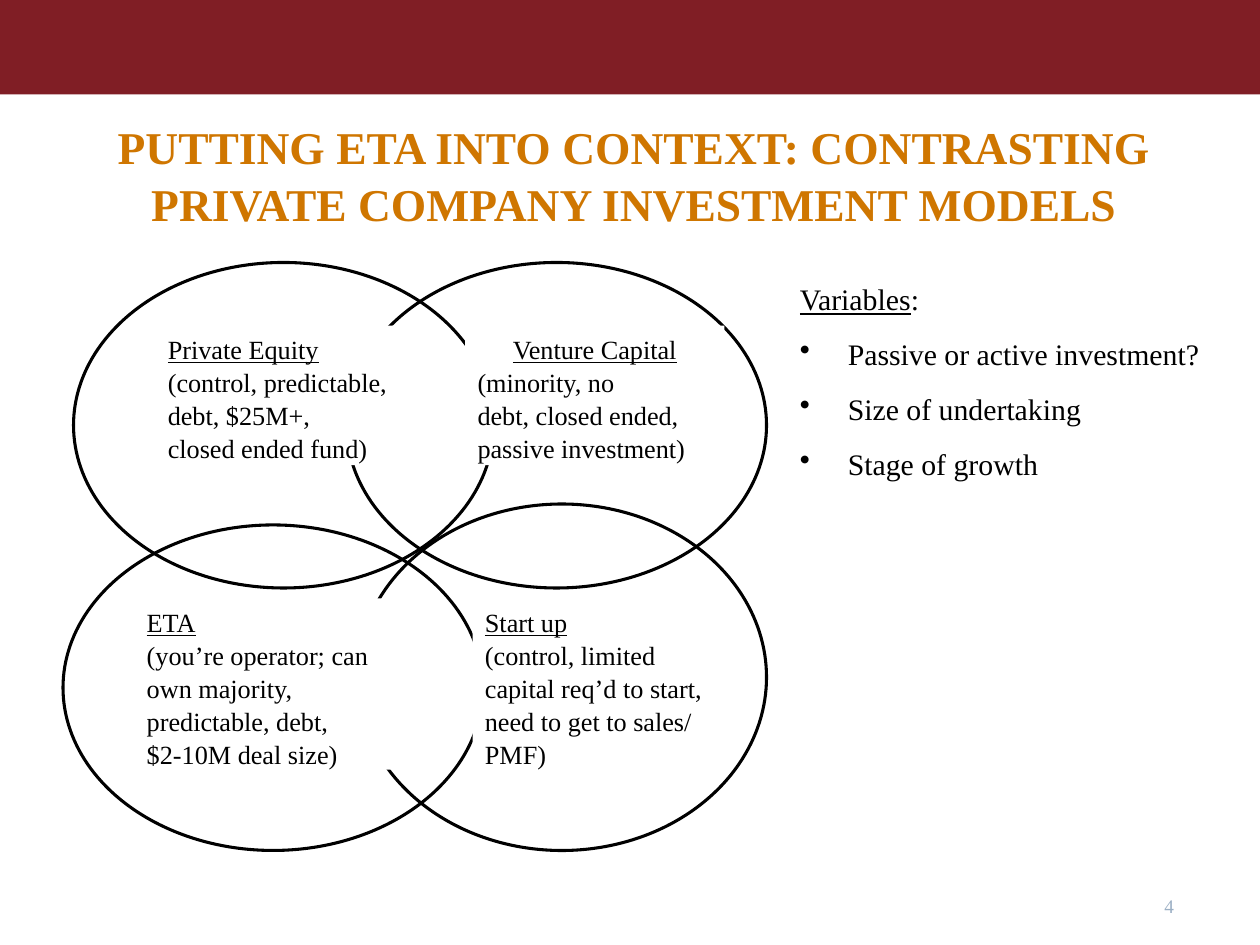
from dataclasses import dataclass

import lxml.etree
import pptx
import pptx.dml.color
import pptx.enum.shapes
import pptx.enum.text
import pptx.oxml.ns
import pptx.util

RGBColor = pptx.dml.color.RGBColor
Shape = pptx.enum.shapes.MSO_SHAPE
Align = pptx.enum.text.PP_ALIGN
Anchor = pptx.enum.text.MSO_ANCHOR

MAROON = RGBColor(0x80, 0x1E, 0x25)
ORANGE = RGBColor(0xCF, 0x76, 0x00)
GREY_BLUE = RGBColor(0x9B, 0xAF, 0xC4)
BLACK = RGBColor(0, 0, 0)
WHITE = RGBColor(0xFF, 0xFF, 0xFF)

FONT = "Times New Roman"
COLS, ROWS = 120, 90  # grid of the slide, twelve cells to the inch


@dataclass(frozen=True)
class Box:
    """Place on the grid, in columns and rows."""
    col: float
    row: float
    cols: float
    rows: float


@dataclass(frozen=True)
class Label:
    """Underlined heading with its lines below."""
    box: Box
    heading: str
    lines: tuple[str, ...]
    align: Align = Align.LEFT


UPPER_CIRCLES = (Box(7, 25, 40, 31), Box(33, 25, 40, 31))
LOWER_CIRCLES = (Box(34, 48, 39, 33), Box(6, 50, 40, 31))

UPPER_LABELS = (
    Label(Box(14.8, 31, 24.5, 13.3), "Private Equity",
          ("(control, predictable,", "debt, $25M+,", "closed ended fund)")),
    Label(Box(44.3, 31, 24.7, 13.3), "Venture Capital",
          ("(minority, no", "debt, closed ended, passive investment)"), Align.CENTER),
)
LOWER_LABELS = (
    Label(Box(45, 57, 23.6, 16.3), "Start up",
          ("(control, limited", "capital req’d to start,", "need to get to sales/", "PMF)")),
    Label(Box(12.8, 57, 24.5, 16.3), "ETA",
          ("(you’re operator; can", "own majority,", "predictable, debt,",
           "$2-10M deal size)")),
)
VARIABLES = ("Passive or active investment?", "Size of undertaking", "Stage of growth")


def place(prs, box: Box) -> tuple[int, int, int, int]:
    dx, dy = prs.slide_width / COLS, prs.slide_height / ROWS
    return (round(box.col * dx), round(box.row * dy),
            round(box.cols * dx), round(box.rows * dy))


def add_shape(prs, s, kind: Shape, box: Box, fill=None, line=None):
    sp = s.shapes.add_shape(kind, *place(prs, box))
    sp.shadow.inherit = False
    if fill is None:
        sp.fill.background()
    else:
        sp.fill.solid()
        sp.fill.fore_color.rgb = fill
    if line is None:
        sp.line.fill.background()
    else:
        sp.line.color.rgb = line
        sp.line.width = pptx.util.Pt(1.75)
    return sp


def add_frame(prs, s, box: Box, anchor=Anchor.TOP):
    tf = s.shapes.add_textbox(*place(prs, box)).text_frame
    tf.word_wrap = True
    tf.vertical_anchor = anchor
    return tf


def add_bullet(p) -> None:
    pPr = p._p.get_or_add_pPr()
    indent = pptx.util.Inches(0.38)
    pPr.set("marL", str(indent))
    pPr.set("indent", str(-indent))
    bu = lxml.etree.SubElement(pPr, pptx.oxml.ns.qn("a:buChar"))
    bu.set("char", "•")


def add_text(tf, text: str, *, size: float, color=BLACK, bold=False, underline=False,
             align=Align.LEFT, before: float = 0, bullet=False, same_line=False) -> None:
    """Write a run in a new paragraph, or at the end of the last one."""
    p = tf.paragraphs[-1]
    if not same_line:
        if p.runs:
            p = tf.add_paragraph()
        if bullet:
            add_bullet(p)
        p.alignment = align
        p.line_spacing = 1.05
        p.space_before = pptx.util.Pt(before)
    r = p.add_run()
    r.text = text
    r.font.name = FONT
    r.font.size = pptx.util.Pt(size)
    r.font.bold = bold
    r.font.underline = underline
    r.font.color.rgb = color


def add_label(prs, s, label: Label) -> None:
    tf = add_shape(prs, s, Shape.RECTANGLE, label.box, fill=WHITE).text_frame
    tf.word_wrap = True
    tf.vertical_anchor = Anchor.TOP
    add_text(tf, label.heading, size=15, underline=True, align=label.align)
    for line in label.lines:
        add_text(tf, line, size=15)


def main() -> None:
    prs = pptx.Presentation()
    prs.slide_width = pptx.util.Inches(10)
    prs.slide_height = pptx.util.Inches(7.5)
    s = prs.slides.add_slide(prs.slide_layouts[6])

    # Banner, title and page number
    add_shape(prs, s, Shape.RECTANGLE, Box(0, 0, COLS, 9), fill=MAROON)
    tf = add_frame(prs, s, Box(2, 9, 116.8, 15), Anchor.MIDDLE)
    add_text(tf, "PUTTING ETA INTO CONTEXT: CONTRASTING PRIVATE COMPANY INVESTMENT MODELS",
             size=26, color=ORANGE, bold=True, align=Align.CENTER)
    tf = add_frame(prs, s, Box(88, 82, 25, 6), Anchor.BOTTOM)
    add_text(tf, "4", size=11, color=GREY_BLUE, align=Align.RIGHT)

    # Overlapping circles, with the labels of each row covering their lines
    for circles, labels in ((UPPER_CIRCLES, UPPER_LABELS), (LOWER_CIRCLES, LOWER_LABELS)):
        for box in circles:
            add_shape(prs, s, Shape.OVAL, box, line=BLACK)
        for label in labels:
            add_label(prs, s, label)

    # List of variables
    tf = add_frame(prs, s, Box(75, 26, 43.8, 54))
    add_text(tf, "Variables", size=17, underline=True)
    add_text(tf, ":", size=17, same_line=True)
    for item in VARIABLES:
        add_text(tf, item, size=17, before=10, bullet=True)

    prs.save("out.pptx")


if __name__ == "__main__":
    main()
